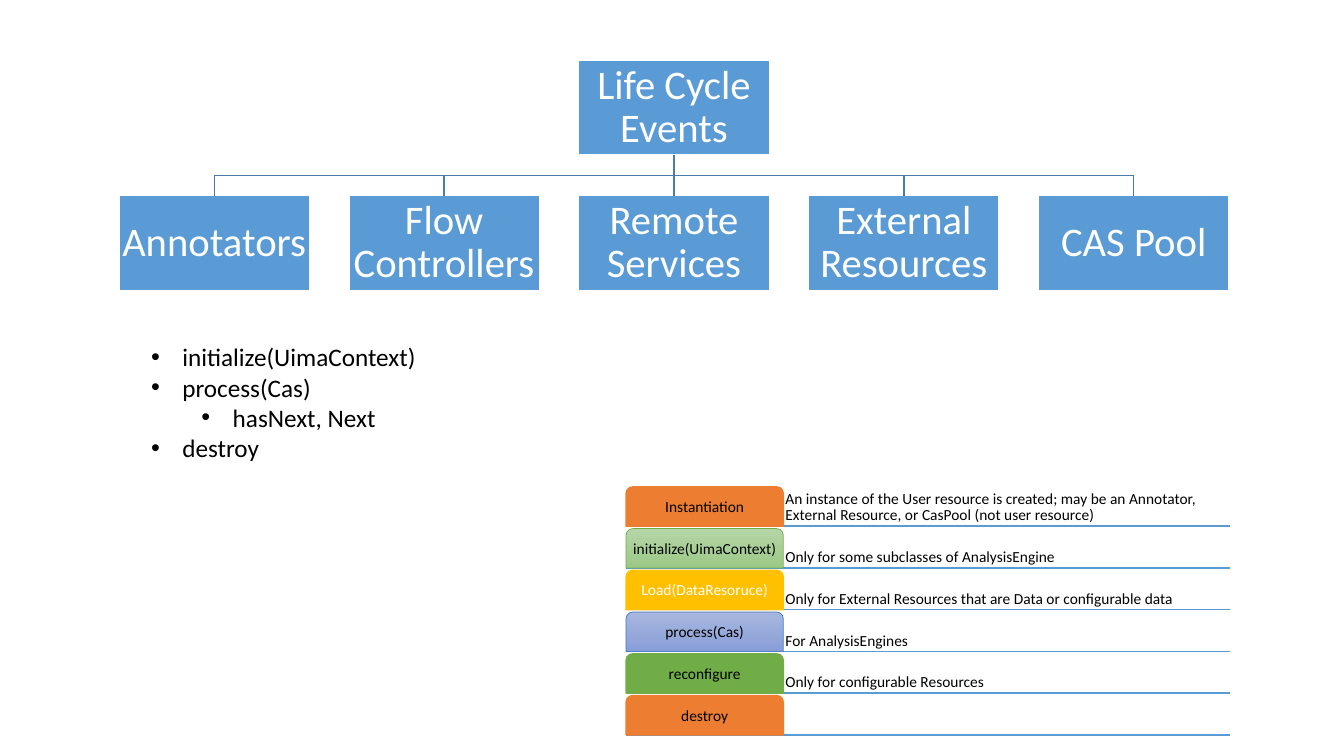
from dataclasses import dataclass
from typing import Optional

from lxml.etree import SubElement
from pptx import Presentation
from pptx.dml.color import RGBColor
from pptx.enum.shapes import MSO_CONNECTOR as Link, MSO_SHAPE as Preset
from pptx.enum.text import MSO_ANCHOR as Anchor, MSO_AUTO_SIZE as AutoSize, PP_ALIGN as Align
from pptx.oxml.ns import qn
from pptx.util import Inches, Pt

FONT = "Calibri"
COLORS = {
    "blue": "5B9BD5", "branch": "497CAB", "orange": "ED7D31", "gold": "FFC000",
    "green": "70AD47", "indigo": "4472C4", "white": "FFFFFF", "black": "000000",
    "green light": "B5D5A7", "green soft": "9CC987",
    "indigo light": "A8B7DF", "indigo soft": "889ED7",
}


@dataclass(frozen=True)
class Grid:
    left: float
    top: float
    column: float
    row: float

    def x(self, column: float) -> int:
        return Inches(self.left + column * self.column)

    def y(self, row: float) -> int:
        return Inches(self.top + row * self.row)


@dataclass(frozen=True)
class Phase:
    name: str
    note: str
    color: str
    gradient: Optional[tuple[str, str]] = None
    ink: str = "black"


@dataclass(frozen=True)
class Method:
    call: str
    level: int = 0


TREE = Grid(left=1.18, top=0.6, column=2.28, row=1.34)
NODE_WIDTH, NODE_HEIGHT = Inches(1.89), Inches(0.94)
ROOT_COLUMN = 2
BRANCHES = ["Annotators", "Flow Controllers", "Remote Services", "External Resources", "CAS Pool"]

STEPS = Grid(left=6.21, top=4.83, column=1.56, row=(7.29 - 5.22) / 5)
STEP_HEIGHT, NOTE_WIDTH = Inches(0.39), Inches(4.43)
PHASES = [
    Phase("Instantiation", "An instance of the User resource is created; may be an Annotator, "
          "External Resource, or CasPool (not user resource)", "orange"),
    Phase("initialize(UimaContext)", "Only for some subclasses of AnalysisEngine", "green",
          ("green light", "green soft")),
    Phase("Load(DataResoruce)", "Only for External Resources that are Data or configurable data",
          "gold", ink="white"),
    Phase("process(Cas)", "For AnalysisEngines", "indigo", ("indigo light", "indigo soft")),
    Phase("reconfigure", "Only for configurable Resources", "green"),
    Phase("destroy", "", "orange"),
]
METHODS = [Method("initialize(UimaContext)"), Method("process(Cas)"),
           Method("hasNext, Next", 1), Method("destroy")]


def rgb(color: str) -> RGBColor:
    return RGBColor.from_string(COLORS[color])


def style_font(paragraph, size: float, color: str) -> None:
    for run in paragraph.runs:
        run.font.name, run.font.size = FONT, Pt(size)
        run.font.color.rgb = rgb(color)


def write(shape, words: str, size: float, color: str, align, anchor) -> None:
    frame = shape.text_frame
    frame.text = words
    frame.word_wrap = True
    frame.vertical_anchor = anchor
    frame.margin_left = frame.margin_right = frame.margin_top = frame.margin_bottom = Inches(0.02)
    paragraph = frame.paragraphs[0]
    paragraph.alignment, paragraph.line_spacing = align, 0.9
    style_font(paragraph, size, color)


def draw_line(shapes, x1: int, y1: int, x2: int, y2: int, color: str):
    line = shapes.add_connector(Link.STRAIGHT, x1, y1, x2, y2)
    line.line.color.rgb, line.line.width = rgb(color), Pt(1)
    SubElement(line._element.spPr, qn("a:effectLst"))
    return line


def draw_node(shapes, words: str, column: int, row: int):
    node = shapes.add_shape(Preset.RECTANGLE, TREE.x(column), TREE.y(row), NODE_WIDTH, NODE_HEIGHT)
    node.shadow.inherit = False
    node.fill.solid()
    node.fill.fore_color.rgb = rgb("blue")
    node.line.color.rgb, node.line.width = rgb("white"), Pt(1)
    write(node, words, 29, "white", Align.CENTER, Anchor.MIDDLE)
    return node


def draw_tree(shapes) -> None:
    root = draw_node(shapes, "Life Cycle Events", ROOT_COLUMN, 0)
    branches = [draw_node(shapes, words, column, 1) for column, words in enumerate(BRANCHES)]
    centers = [branch.left + NODE_WIDTH // 2 for branch in branches]
    root_bottom, branch_top = root.top + NODE_HEIGHT, TREE.y(1)
    rail = (root_bottom + branch_top) // 2
    draw_line(shapes, centers[0], rail, centers[-1], rail, "branch")
    trunk = draw_line(shapes, centers[ROOT_COLUMN], root_bottom, centers[ROOT_COLUMN], rail, "branch")
    trunk.begin_connect(root, 2)
    for branch, center in zip(branches, centers):
        drop = draw_line(shapes, center, rail, center, branch_top, "branch")
        drop.end_connect(branch, 0)


def draw_phase(shapes, phase: Phase, row: int) -> None:
    left, top, note_left = STEPS.x(0), STEPS.y(row), STEPS.x(1)
    bottom = top + STEP_HEIGHT
    draw_line(shapes, left, bottom, note_left + NOTE_WIDTH, bottom, "blue")
    if phase.note:
        note = shapes.add_textbox(note_left, top, NOTE_WIDTH, STEP_HEIGHT)
        write(note, phase.note, 11, "black", Align.LEFT, Anchor.BOTTOM)
    tab = shapes.add_shape(Preset.ROUND_2_SAME_RECTANGLE, left, top, note_left - left, STEP_HEIGHT)
    tab.shadow.inherit = False
    if phase.gradient:
        tab.fill.gradient()
        tab.fill.gradient_angle = 270
        for stop, color in zip(tab.fill.gradient_stops, phase.gradient):
            stop.color.rgb = rgb(color)
    else:
        tab.fill.solid()
        tab.fill.fore_color.rgb = rgb(phase.color)
    tab.line.color.rgb = rgb(phase.color)
    tab.line.width = Pt(0.5 if phase.gradient else 1)
    write(tab, phase.name, 11, phase.ink, Align.CENTER, Anchor.MIDDLE)


def draw_methods(shapes) -> None:
    methods = shapes.add_textbox(Inches(1.4), Inches(3.34), Inches(3.19), Inches(1.62))
    frame = methods.text_frame
    frame.text = "\n".join(method.call for method in METHODS)
    frame.word_wrap, frame.auto_size = True, AutoSize.SHAPE_TO_FIT_TEXT
    for paragraph, method in zip(frame.paragraphs, METHODS):
        paragraph.level = method.level
        style_font(paragraph, 18, "black")
        props = paragraph._p.get_or_add_pPr()
        props.set("marL", str(Inches(0.31 + 0.5 * method.level)))
        props.set("indent", str(Inches(-0.31)))
        SubElement(props, qn("a:buFont"), typeface="Arial")
        SubElement(props, qn("a:buChar"), char="•")


def main() -> None:
    deck = Presentation()
    deck.slide_width, deck.slide_height = Inches(13.33), Inches(7.5)
    shapes = deck.slides.add_slide(deck.slide_layouts[6]).shapes
    for row, phase in enumerate(PHASES):
        draw_phase(shapes, phase, row)
    draw_tree(shapes)
    draw_methods(shapes)
    deck.save("out.pptx")


if __name__ == "__main__":
    main()
